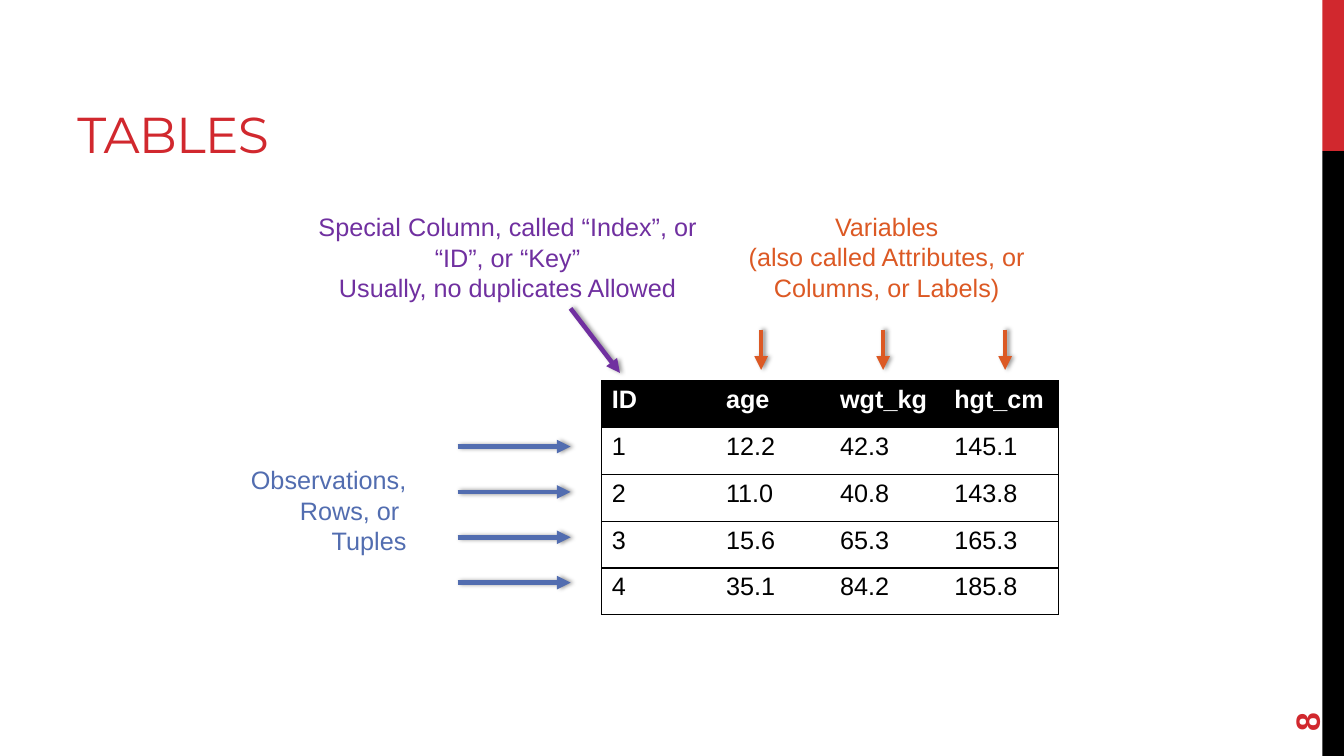
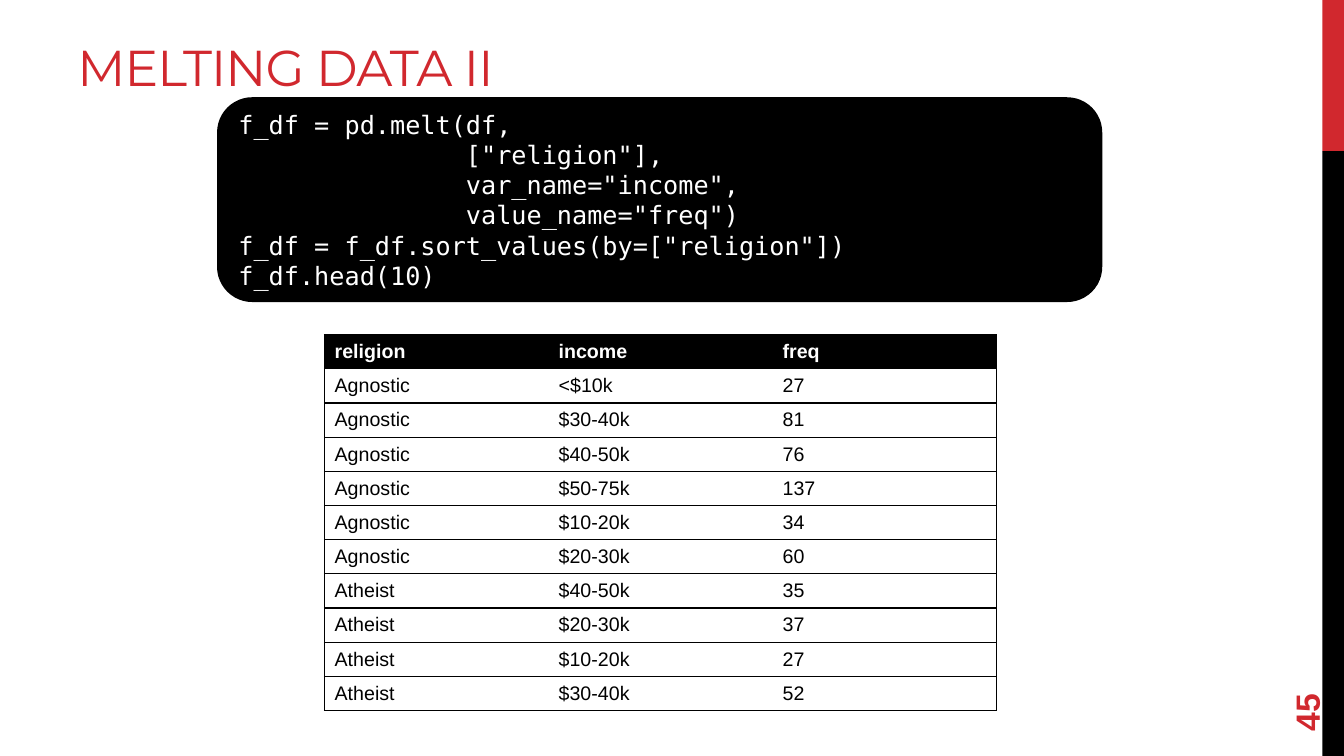
from dataclasses import dataclass

from lxml import etree
from pptx import Presentation
from pptx.dml.color import RGBColor
from pptx.enum.shapes import MSO_CONNECTOR, MSO_SHAPE
from pptx.enum.text import MSO_ANCHOR, MSO_AUTO_SIZE, PP_ALIGN
from pptx.oxml import parse_xml
from pptx.oxml.ns import nsdecls, qn
from pptx.util import Inches, Pt

LEFT, CENTER, RIGHT = PP_ALIGN.LEFT, PP_ALIGN.CENTER, PP_ALIGN.RIGHT
TOP, MIDDLE, BOTTOM = MSO_ANCHOR.TOP, MSO_ANCHOR.MIDDLE, MSO_ANCHOR.BOTTOM
RECT, ROUNDED = MSO_SHAPE.RECTANGLE, MSO_SHAPE.ROUNDED_RECTANGLE
STRAIGHT = MSO_CONNECTOR.STRAIGHT
NO_FIT = MSO_AUTO_SIZE.NONE


@dataclass(frozen=True)
class Theme:
    red: str = "D1282E"
    black: str = "000000"
    white: str = "FFFFFF"
    blue: str = "526DB0"
    orange: str = "DC5924"
    purple: str = "7030A0"
    title_font: str = "Montserrat"
    body_font: str = "Arial"
    code_font: str = "DejaVu Sans Mono"
    title_size: int = 36
    number_size: int = 24
    body_size: int = 18
    small_size: int = 14
    arrow_width: float = 3.25
    code_border: float = 2.25


THEME = Theme()


@dataclass(frozen=True)
class Box:
    """A region in EMU; areas inside it are given in percent of it."""
    left: int
    top: int
    width: int
    height: int

    def point(self, x, y):
        return (round(self.left + self.width * x / 100),
                round(self.top + self.height * y / 100))

    def area(self, x, y, width, height):
        return Box(*self.point(x, y), round(self.width * width / 100),
                   round(self.height * height / 100))

    @property
    def bounds(self):
        return self.left, self.top, self.width, self.height


PAGE = Box(0, 0, Inches(13.333), Inches(7.5))


def rgb(color):
    return RGBColor.from_string(color)


def write(frame, text, font=THEME.body_font, size=THEME.body_size,
          color=THEME.black, bold=False, align=LEFT, anchor=TOP, spacing=None):
    """Put one paragraph per line of text into a frame."""
    frame.word_wrap = True
    frame.vertical_anchor = anchor
    for index, line in enumerate(text.split("\n")):
        paragraph = frame.add_paragraph() if index else frame.paragraphs[0]
        paragraph.alignment = align
        run = paragraph.add_run()
        run.text = line
        run.font.name, run.font.size = font, Pt(size)
        run.font.bold, run.font.color.rgb = bold, rgb(color)
        if spacing is not None:
            run._r.get_or_add_rPr().set("spc", str(spacing))


def add_label(slide, box, text, **style):
    label = slide.shapes.add_textbox(*box.bounds)
    write(label.text_frame, text, **style)
    return label


def add_panel(slide, box, preset, fill):
    panel = slide.shapes.add_shape(preset, *box.bounds)
    panel.shadow.inherit = False
    panel.fill.solid()
    panel.fill.fore_color.rgb = rgb(fill)
    panel.line.fill.background()
    return panel


def add_arrow(slide, start, end, color):
    arrow = slide.shapes.add_connector(STRAIGHT, *start, *end)
    arrow.line.color.rgb = rgb(color)
    arrow.line.width = Pt(THEME.arrow_width)
    properties = arrow.element.spPr
    etree.SubElement(properties.find(qn("a:ln")), qn("a:tailEnd"), type="triangle")
    # Soft shadow to the right
    properties.append(parse_xml(
        f'<a:effectLst {nsdecls("a")}>'
        f'<a:outerShdw blurRad="{Pt(3.1)}" dist="{Pt(1.8)}" dir="0" rotWithShape="0">'
        f'<a:srgbClr val="{THEME.black}"><a:alpha val="40000"/></a:srgbClr>'
        '</a:outerShdw></a:effectLst>'))


def set_borders(cell, visible):
    """Rule the visible sides of a cell and clear the others."""
    properties = cell._tc.get_or_add_tcPr()
    for side in "LRTB":
        border = etree.SubElement(properties, qn(f"a:ln{side}"), w=str(Pt(1)))
        if side in visible:
            fill = etree.SubElement(border, qn("a:solidFill"))
            etree.SubElement(fill, qn("a:srgbClr"), val=THEME.black)
        else:
            etree.SubElement(border, qn("a:noFill"))


def add_data_table(slide, box, rows, size, anchor=TOP):
    """Black header row, ruled body rows and an outer frame."""
    last = len(rows[0]) - 1
    table = slide.shapes.add_table(len(rows), last + 1, *box.bounds).table
    table.horz_banding = False
    for column in table.columns:
        column.width = box.width // (last + 1)
    for r, values in enumerate(rows):
        table.rows[r].height = box.height // len(rows)
        for c, value in enumerate(values):
            cell = table.cell(r, c)
            header = r == 0
            set_borders(cell, "TB" + "L" * (c == 0) + "R" * (c == last))
            cell.fill.solid()
            cell.fill.fore_color.rgb = rgb(THEME.black if header else THEME.white)
            write(cell.text_frame, value, size=size, bold=header,
                  color=THEME.white if header else THEME.black)
            cell.vertical_anchor = anchor


def add_base_slide(prs, title, number, title_height):
    """Title, side band and page number shared by all slides."""
    slide = prs.slides.add_slide(prs.slide_layouts[5])
    add_panel(slide, PAGE.area(98.4, 0, 1.6, 20), RECT, THEME.red)
    add_panel(slide, PAGE.area(98.4, 20, 1.6, 80), RECT, THEME.black)

    heading = slide.shapes.title
    heading.left, heading.top, heading.width, heading.height = PAGE.area(
        5, 2.27, 63.3, title_height).bounds
    heading.text_frame.auto_size = NO_FIT
    write(heading.text_frame, title, font=THEME.title_font, size=THEME.title_size,
          color=THEME.red, anchor=BOTTOM, spacing=-60)

    page_number = add_label(slide, PAGE.area(91.8, 84.93, 10.8, 7.07), number,
                            size=THEME.number_size, color=THEME.red, bold=True,
                            anchor=MIDDLE)
    page_number.rotation = 270
    return slide


def add_observations(slide, box):
    add_label(slide, box.area(0, 9.63, 56.16, 74.81),
              "Observations,\nRows, or \nTuples", color=THEME.blue, align=RIGHT)
    for row in range(4):
        y = row * 100 / 3
        add_arrow(slide, box.point(67.9, y), box.point(100, y), THEME.blue)


def add_variables(slide, box):
    add_label(slide, box.area(0, 0, 100, 62.35),
              "Variables\n(also called Attributes, or Columns, or Labels)",
              color=THEME.orange, align=CENTER)
    for column in range(3):
        x = 13.5 + 35.48 * column
        add_arrow(slide, box.point(x, 75.3), box.point(x, 100), THEME.orange)


def add_key_column(slide, box):
    add_label(slide, box.area(0, 0, 100, 61.2),
              "Special Column, called “Index”, or “ID”, or “Key”\n"
              "Usually, no duplicates Allowed", color=THEME.purple, align=CENTER)
    add_arrow(slide, box.point(65.2, 61.2), box.point(77.13, 100), THEME.purple)


def add_code(slide, box, code):
    panel = add_panel(slide, box, ROUNDED, THEME.black)
    panel.line.color.rgb = rgb(THEME.black)
    panel.line.width = Pt(THEME.code_border)
    write(panel.text_frame, code, font=THEME.code_font, color=THEME.white,
          anchor=MIDDLE)


MEASUREMENTS = [
    ("ID", "age", "wgt_kg", "hgt_cm"),
    ("1", "12.2", "42.3", "145.1"),
    ("2", "11.0", "40.8", "143.8"),
    ("3", "15.6", "65.3", "165.3"),
    ("4", "35.1", "84.2", "185.8"),
]

MELT_CODE = """f_df = pd.melt(df,
               ["religion"],
               var_name="income",
               value_name="freq")
f_df = f_df.sort_values(by=["religion"])
f_df.head(10)"""

MELTED = [
    ("religion", "income", "freq"),
    ("Agnostic", "<$10k", "27"),
    ("Agnostic", "$30-40k", "81"),
    ("Agnostic", "$40-50k", "76"),
    ("Agnostic", "$50-75k", "137"),
    ("Agnostic", "$10-20k", "34"),
    ("Agnostic", "$20-30k", "60"),
    ("Atheist", "$40-50k", "35"),
    ("Atheist", "$20-30k", "37"),
    ("Atheist", "$10-20k", "27"),
    ("Atheist", "$30-40k", "52"),
]


def build_tables_slide(prs):
    slide = add_base_slide(prs, "TABLES", "8", title_height=20)
    add_data_table(slide, PAGE.area(44.78, 50.4, 33.98, 30.93), MEASUREMENTS,
                   THEME.body_size)
    add_observations(slide, PAGE.area(16.28, 59.07, 26.17, 18))
    add_variables(slide, PAGE.area(53.18, 27.33, 25.58, 21.6))
    add_key_column(slide, PAGE.area(22.35, 27.33, 30.83, 22))


def build_melting_slide(prs):
    slide = add_base_slide(prs, "MELTING DATA II", "45", title_height=11.2)
    add_code(slide, PAGE.area(16.27, 13.07, 65.63, 26.67), MELT_CODE)
    add_data_table(slide, PAGE.area(24.15, 44.27, 50, 49.73), MELTED,
                   THEME.small_size, anchor=MIDDLE)


def main():
    prs = Presentation()
    prs.slide_width, prs.slide_height = PAGE.width, PAGE.height
    build_tables_slide(prs)
    build_melting_slide(prs)
    prs.save("out.pptx")


if __name__ == "__main__":
    main()
